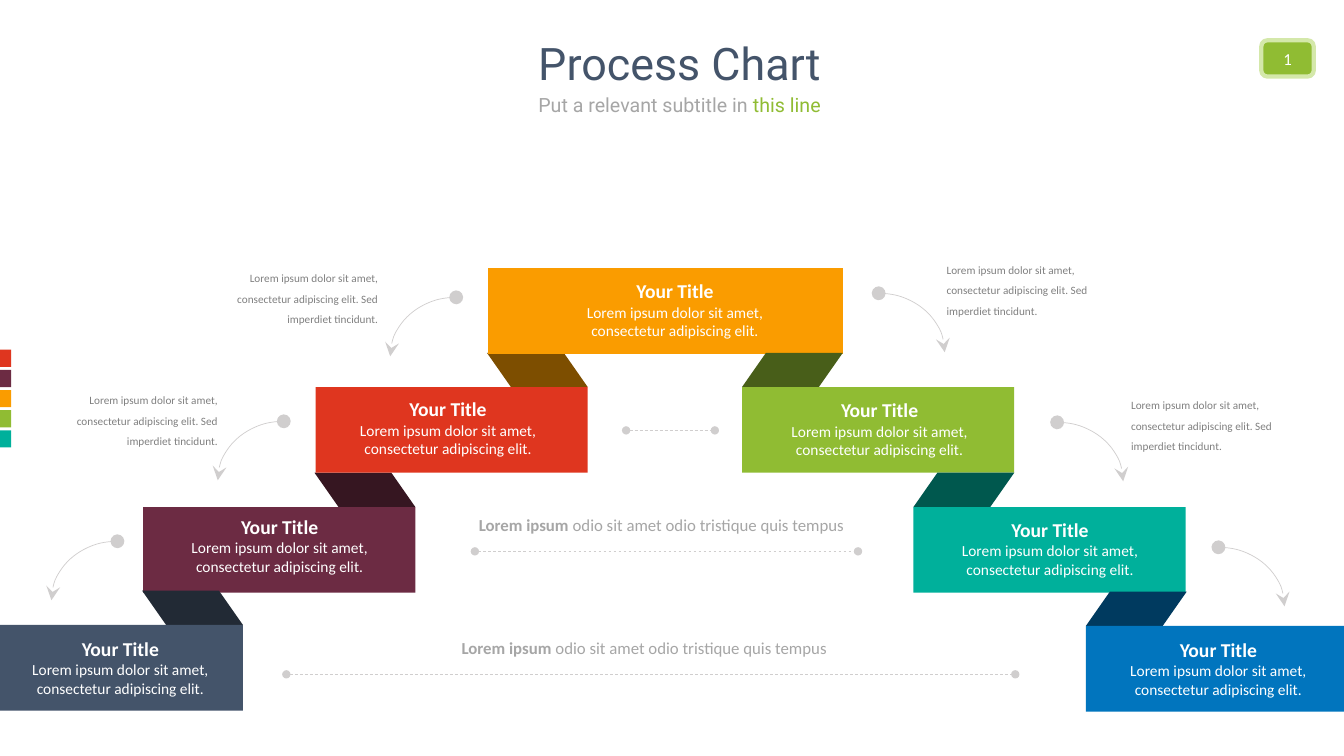
"""Build the process chart slide: a stair of folded bands with notes."""
from lxml.etree import SubElement
from pptx import Presentation
from pptx.dml.color import RGBColor
from pptx.enum.dml import MSO_LINE as Dash
from pptx.enum.shapes import MSO_CONNECTOR as Conn, MSO_SHAPE as Form
from pptx.enum.text import MSO_ANCHOR as Anchor, MSO_AUTO_SIZE as Fit, PP_ALIGN as Align
from pptx.oxml.ns import qn
from pptx.util import Inches, Pt

HUES = {
    "navy": "44546A", "red": "DF361F", "plum": "6C2B43", "gold": "FA9C00",
    "green": "90BC33", "teal": "00B09B", "blue": "0175BE",
    "navy fold": "222A35", "red fold": "7D4E00", "plum fold": "361621",
    "green fold": "485E19", "teal fold": "00584E", "blue fold": "003A5F",
    "rim": "D4E8AA", "rule": "D0CECE", "soft": "A6A6A6", "note": "808080",
    "white": "FFFFFF",
}
HEAD = "Process Chart"
SUB = [("Put a relevant subtitle in ", "soft"), ("this line", "green")]
NAME = "Your Title"
BODY = "Lorem ipsum dolor sit amet, consectetur adipiscing elit."
NOTE = BODY + " Sed imperdiet tincidunt."
LEAD, REST = "Lorem ipsum ", "odio sit amet odio tristique quis tempus"

# hue, side, band (left, top, width), label (left, top, width)
BANDS = [
    ("plum", "left", (1.42, 5.03, 2.7), (1.56, 5.06, 2.43)),
    ("red", "left", (3.13, 3.84, 2.7), (3.23, 3.89, 2.43)),
    ("gold", "top", (4.84, 2.66, 3.52), (5.34, 2.72, 2.71)),
    ("green", "right", (7.36, 3.84, 2.7), (7.51, 3.9, 2.43)),
    ("teal", "right", (9.06, 5.03, 2.7), (9.2, 5.09, 2.43)),
    ("blue", "right", (10.77, 6.21, 2.56), (10.87, 6.28, 2.43)),
    ("navy", "left", (0, 6.2, 2.41), (-0.02, 6.27, 2.43)),
]
TABS = ["red", "plum", "gold", "green", "teal"]
RULES = [(6.21, 7.09, 4.27), (4.71, 8.51, 5.47), (2.84, 10.07, 6.69)]
LINES = [(4.48, 6.28), (4.65, 5.06)]
ARCS = [
    (8.06, 2.91, False), (9.83, 4.19, False), (11.43, 5.43, False),
    (3.87, 2.95, True), (2.16, 4.18, True), (0.51, 5.37, True),
]
NOTES = [
    (9.29, 2.5, Align.LEFT), (11.12, 3.84, Align.LEFT),
    (2, 2.58, Align.RIGHT), (0.41, 3.79, Align.RIGHT),
]
TALL, FOLD = 0.85, 0.34


def tint(hue):
    return RGBColor.from_string(HUES[hue])


def write(frame, rows, align=Align.LEFT, gap=None, face="Calibri"):
    """Fill a frame with rows of (text, size, hue, bold) runs."""
    for i, row in enumerate(rows):
        para = frame.add_paragraph() if i else frame.paragraphs[0]
        para.alignment = align
        para.space_before = Pt(0)
        if gap:
            para.line_spacing = gap
        for text, size, hue, bold in row:
            run = para.add_run()
            run.text = text
            font = run.font
            font.name, font.size, font.bold = face, Pt(size), bold
            font.color.rgb = tint(hue)


def draw(form, box, hue=None, flip=False):
    part = slide.shapes.add_shape(form, *map(Inches, box))
    part.shadow.inherit = False
    if hue:
        part.fill.solid()
        part.fill.fore_color.rgb = tint(hue)
    else:
        part.fill.background()
    part.line.fill.background()
    if flip:
        part.element.spPr.get_or_add_xfrm().set("flipH", "1")
    return part


def label(box, rows, align=Align.LEFT, gap=None, wrap=True):
    frame = slide.shapes.add_textbox(*map(Inches, box)).text_frame
    frame.word_wrap = wrap
    write(frame, rows, align, gap)


def stroke(part, tail, size):
    """Give a thin grey line with a round start and a chosen end."""
    part.line.color.rgb = tint("rule")
    part.line.width = Pt(0.5)
    ln = part.element.spPr.find(qn("a:ln"))
    for tag, kind in (("a:headEnd", "oval"), ("a:tailEnd", tail)):
        SubElement(ln, qn(tag), type=kind, w=size, len=size)


def hold(part, box, anchor, rows):
    """Move a heading placeholder and fill it."""
    part.left, part.top, part.width, part.height = map(Inches, box)
    frame = part.text_frame
    frame.auto_size, frame.word_wrap = Fit.NONE, True
    frame.vertical_anchor = anchor
    write(frame, rows, Align.CENTER, 0.9, "Roboto")


deck = Presentation()
deck.slide_width, deck.slide_height = Inches(13.33), Inches(7.5)
slide = deck.slides.add_slide(deck.slide_layouts[0])
hold(slide.shapes.title, (0.99, 0.19, 11.5, 0.76), Anchor.BOTTOM,
     [[(HEAD, 32, "navy", False)]])
hold(slide.placeholders[1], (0.99, 0.9, 11.5, 0.55), Anchor.TOP,
     [[(text, 14, hue, False) for text, hue in SUB]])

badge = draw(Form.ROUNDED_RECTANGLE, (12.51, 0.4, 0.52, 0.36), "green")
badge.line.color.rgb = tint("rim")
badge.line.width = Pt(3)
badge.text_frame.vertical_anchor = Anchor.MIDDLE
write(badge.text_frame, [[("1", 12, "white", False)]], Align.CENTER)

for i, hue in enumerate(TABS):
    draw(Form.RECTANGLE, (0, 3.47 + 0.2 * i, 0.11, 0.17), hue)

for hue, side, (left, top, wide), spot in BANDS:
    if side != "top":
        start = left + wide - 1 if side == "left" else left
        fold = draw(Form.PARALLELOGRAM, (start, top - FOLD, 1, FOLD),
                    hue + " fold", side == "left")
        fold.adjustments[0] = 0.7
    draw(Form.RECTANGLE, (left, top, wide, TALL), hue)
    label((*spot, 0.72), [[(NAME, 14, "white", True)],
                          [(BODY, 11, "white", False)]], Align.CENTER)

for start, end, top in RULES:
    rule = slide.shapes.add_connector(
        Conn.STRAIGHT, *map(Inches, (start, top, end, top)))
    rule.line.dash_style = Dash.DASH
    stroke(rule, "oval", "med")
    SubElement(rule.element.spPr, qn("a:effectLst"))

for left, top in LINES:
    label((left, top, 3.85, 0.3), [[(LEAD, 12, "soft", True),
                                    (REST, 12, "soft", False)]], wrap=False)

for left, top, flip in ARCS:
    stroke(draw(Form.ARC, (left, top, 1.31, 1.17), flip=flip), "stealth", "lg")

for left, top, align in NOTES:
    label((left, top, 1.85, 0.61), [[(NOTE, 8, "note", False)]], align, 1.5)

deck.save("out.pptx")
